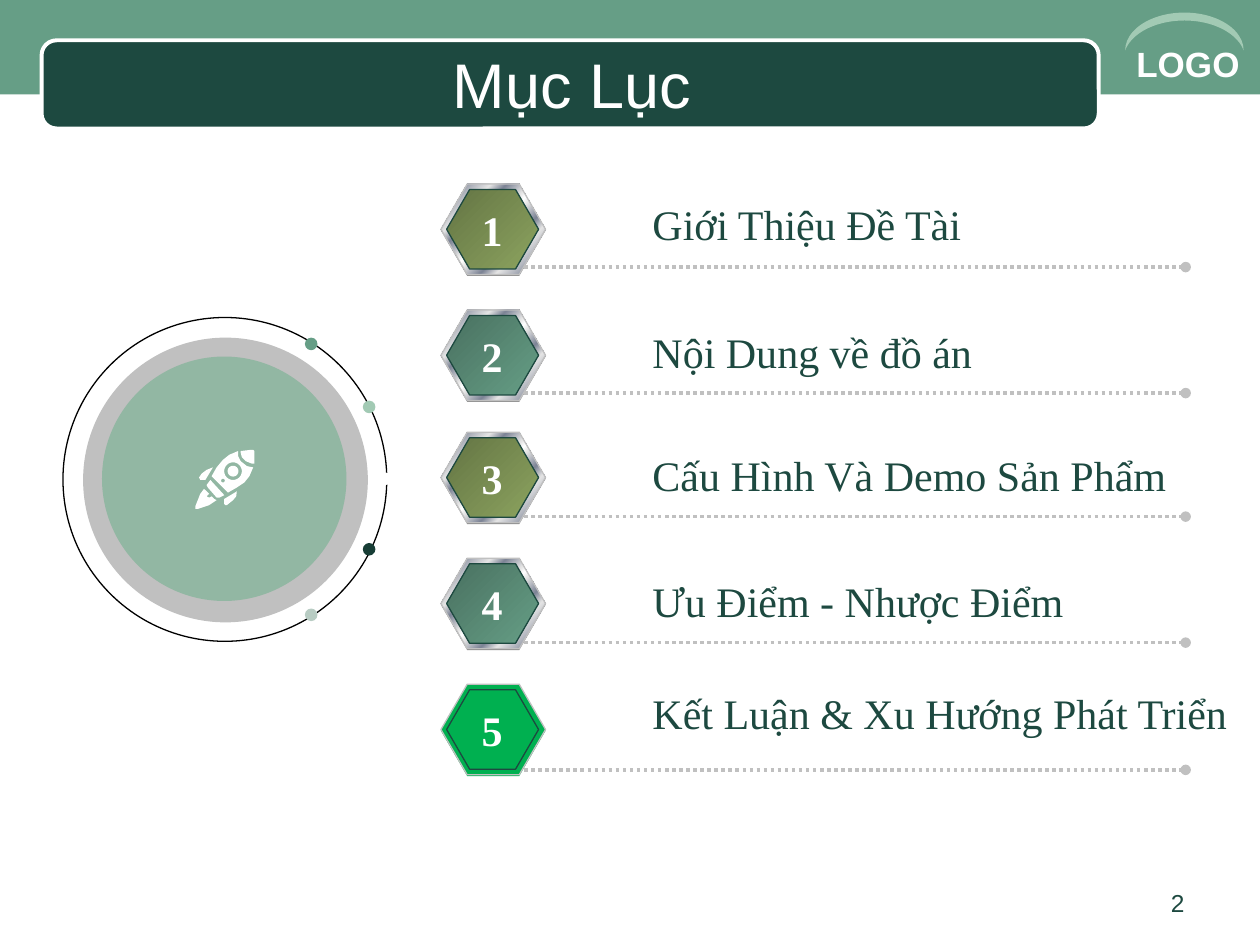
from math import cos, pi, sin

from lxml.etree import SubElement
from pptx import Presentation
from pptx.dml.color import RGBColor
from pptx.enum.dml import MSO_LINE
from pptx.enum.shapes import MSO_CONNECTOR, MSO_SHAPE
from pptx.enum.text import MSO_ANCHOR, MSO_AUTO_SIZE, PP_ALIGN
from pptx.oxml.ns import qn
from pptx.util import Inches, Pt

WHITE = RGBColor(0xFF, 0xFF, 0xFF)
BLACK = RGBColor(0x00, 0x00, 0x00)
SAGE = RGBColor(0x66, 0x9E, 0x86)
PALE_SAGE = RGBColor(0xA2, 0xCA, 0xB4)
DISC_SAGE = RGBColor(0x92, 0xB7, 0xA3)
MIST = RGBColor(0xB8, 0xCC, 0xC3)
PINE = RGBColor(0x1D, 0x49, 0x40)
DEEP_PINE = RGBColor(0x17, 0x3D, 0x35)
DARK_SAGE = RGBColor(0x49, 0x71, 0x60)
DARK_OLIVE = RGBColor(0x64, 0x75, 0x44)
OLIVE = RGBColor(0x8C, 0xA3, 0x5F)
GREEN = RGBColor(0x00, 0xB0, 0x50)
SILVER = RGBColor(0xC0, 0xC0, 0xC0)
GREY = RGBColor(0x80, 0x80, 0x80)
STEEL = RGBColor(0x7D, 0x84, 0x96)
CHROME = RGBColor(0xE6, 0xE6, 0xE6)

METAL = [(0, CHROME), (8, STEEL), (26, CHROME), (34, STEEL), (46, CHROME), (50, WHITE),
         (54, CHROME), (66, STEEL), (74, CHROME), (92, STEEL), (100, CHROME)]
OLIVE_FADE = [(0, DARK_OLIVE), (100, OLIVE)]
SAGE_FADE = [(0, DARK_SAGE), (100, SAGE)]

SERIF = "Times New Roman"
SANS = "Arial"
COLUMNS, ROWS = 100, 75

AGENDA = [
    ("1", "Giới Thiệu Đề Tài", OLIVE_FADE, 14.6, 15.3, 21.2, 26.7),
    ("2", "Nội Dung về đồ án", SAGE_FADE, 24.6, 25.4, 31.2, 27.6),
    ("3", "Cấu Hình Và Demo Sản Phẩm", OLIVE_FADE, 34.3, 35.2, 41, 43.2),
    ("4", "Ưu Điểm - Nhược Điểm", SAGE_FADE, 44.3, 45.2, 51, 35),
    ("5", "Kết Luận & Xu Hướng Phát Triển", GREEN, 54.3, 54.1, 61.1, 48.1),
]

ORBIT_DOTS = [(24.2, 26.8, SAGE), (28.8, 31.8, PALE_SAGE), (28.8, 43.1, DEEP_PINE),
              (30.1, 37.5, WHITE), (24.2, 48.3, MIST)]


def ring(x, y, radius, steps=32):
    return [(x + radius * cos(2 * pi * i / steps), y + radius * sin(2 * pi * i / steps))
            for i in range(steps)]


HULL = [(18.9, 35.8), (18.2, 36.1), (17.7, 36.5), (17.2, 37.1), (16.8, 37.8), (18.1, 39.1),
        (18.8, 38.7), (19.4, 38.3), (19.8, 37.8), (20.1, 37.1), (19.6, 37), (19.1, 36.6),
        (18.9, 36.2)]
NOSE = [(19.1, 35.8), (19.9, 35.7), (20.1, 35.7), (20.2, 35.8), (20.2, 36.8), (20, 36.8),
        (19.5, 36.6), (19.2, 36.3), (19.1, 35.9)]
TAIL = [(16.7, 38.1), (16.4, 38.5), (16.5, 38.7), (17.2, 39.5), (17.4, 39.5), (17.8, 39.3)]
LEFT_FIN = [(16.9, 37.1), (16.4, 37.3), (16, 37.6), (15.8, 37.9), (15.9, 38.1), (16.3, 38.1)]
RIGHT_FIN = [(18.8, 39), (17.8, 39.6), (17.8, 40), (17.9, 40.1), (18, 40.1), (18.5, 39.7),
             (18.75, 39.4)]
FLAME = [(16.2, 38.8), (15.9, 39.2), (15.5, 40.2), (15.5, 40.4), (15.7, 40.4), (16.6, 40.1),
         (17.2, 39.7), (17, 39.6), (16.8, 39.4), (16.6, 39.5), (16.4, 39.4), (16.6, 39.2),
         (16.3, 38.9)]
ROCKET = [[TAIL], [NOSE], [ring(18.5, 37.4, 0.43)],
          [HULL, ring(18.5, 37.4, 0.7), ring(17.7, 38.15, 0.15)],
          [RIGHT_FIN], [LEFT_FIN], [FLAME]]


class Deck:
    def __init__(self):
        self.show = Presentation()
        self.show.slide_width, self.show.slide_height = Inches(10), Inches(7.5)
        self.slide = self.show.slides.add_slide(self.show.slide_layouts[5])
        self.shapes = self.slide.shapes

    def x(self, columns):
        return round(columns * self.show.slide_width / COLUMNS)

    def y(self, rows):
        return round(rows * self.show.slide_height / ROWS)

    def frame(self, left, top, width, height):
        return self.x(left), self.y(top), self.x(width), self.y(height)

    def paint(self, shape, fill, line=None, weight=0.75):
        shape.shadow.inherit = False
        if fill is None:
            shape.fill.background()
        elif isinstance(fill, list):
            shape.fill.gradient()
            shape.fill.gradient_angle = 315
            stops = shape._element.spPr.find(f".//{qn('a:gsLst')}")
            stops.clear()
            for percent, color in fill:
                stop = SubElement(stops, qn("a:gs"), pos=str(percent * 1000))
                SubElement(stop, qn("a:srgbClr"), val=str(color))
        else:
            shape.fill.solid()
            shape.fill.fore_color.rgb = fill
        if line is None:
            shape.line.fill.background()
        else:
            shape.line.color.rgb = line
            shape.line.width = Pt(weight)

    def preset(self, kind, box, fill, line=None, weight=0.75, adjust=None, turn=0, home=None):
        shape = (home or self.slide).shapes.add_shape(kind, *self.frame(*box))
        if adjust is not None:
            shape.adjustments[0] = adjust
        shape.rotation = turn
        self.paint(shape, fill, line, weight)

    def wording(self, frame, words, color, align=PP_ALIGN.LEFT, **style):
        paragraph = frame.paragraphs[0]
        paragraph.alignment = align
        run = paragraph.add_run()
        run.text = words
        run.font.color.rgb = color
        for name, value in style.items():
            setattr(run.font, name, value)

    def text(self, words, box, color, wrap=False, **style):
        frame = self.shapes.add_textbox(*self.frame(*box)).text_frame
        frame.word_wrap = wrap
        frame.auto_size = MSO_AUTO_SIZE.NONE if wrap else MSO_AUTO_SIZE.SHAPE_TO_FIT_TEXT
        self.wording(frame, words, color, **style)

    def title(self, words, box, color, **style):
        title = self.shapes.title
        title.left, title.top, title.width, title.height = self.frame(*box)
        title.text_frame.vertical_anchor = MSO_ANCHOR.MIDDLE
        self.wording(title.text_frame, words, color, PP_ALIGN.CENTER, **style)
        title._element.getparent().append(title._element)

    def dotted_rule(self, left, right, row):
        rule = self.shapes.add_connector(MSO_CONNECTOR.STRAIGHT, self.x(left), self.y(row),
                                         self.x(right), self.y(row))
        rule.line.color.rgb = SILVER
        rule.line.width = Pt(2)
        rule.line.dash_style = MSO_LINE.ROUND_DOT
        SubElement(rule._element.spPr.find(qn("a:ln")), qn("a:tailEnd"), type="oval")
        SubElement(rule._element.spPr, qn("a:effectLst"))

    def badge(self, top, fill):
        metallic = isinstance(fill, list)
        group = self.shapes.add_group_shape()
        for box, color, line in [
            ((35, top + 0.1, 8.3, 7.2), GREY if metallic else fill, None),
            ((35, top, 8.3, 7.2), METAL if metallic else fill, SILVER),
            ((35.45, top + 0.45, 7.3, 6.3), fill, PINE),
        ]:
            self.preset(MSO_SHAPE.HEXAGON, box, color, line, adjust=0.29, home=group)

    def outlines(self, pieces, fill):
        group = self.shapes.add_group_shape()
        for contours in pieces:
            placed = [[(self.x(x), self.y(y)) for x, y in contour] for contour in contours]
            builder = group.shapes.build_freeform(*placed[0][0])
            builder.add_line_segments(placed[0][1:])
            for hole in placed[1:]:
                builder.move_to(*hole[0])
                builder.add_line_segments(hole[1:])
            self.paint(builder.convert_to_shape(), fill)


def main():
    deck = Deck()
    deck.preset(MSO_SHAPE.RECTANGLE, (0, 0, 100, 7.5), SAGE)
    deck.preset(MSO_SHAPE.ROUNDED_RECTANGLE, (3.3, 3.2, 83.9, 7), PINE, WHITE, 2.25, 0.17)
    deck.text("LOGO", (89.2, 2.9, 10.8, 4.3), WHITE, wrap=True,
              size=Pt(20), name=SANS, bold=True)
    deck.preset(MSO_SHAPE.MOON, (92.5, -2.2, 3, 9.4), PALE_SAGE, adjust=0.21, turn=90)
    deck.title("Mục Lục", (5, 3.5, 80.8, 6.2), WHITE, size=Pt(36), name=SANS)

    for number, topic, fill, top, topic_row, rule_row, width in AGENDA:
        deck.badge(top, fill)
        deck.dotted_rule(41.6, 94.1, rule_row)
        deck.text(topic, (50.8, topic_row, width, 5.1), PINE, size=Pt(24), name=SERIF)
        deck.text(number, (37.2, top + 1.1, 3.7, 5.1), WHITE, align=PP_ALIGN.CENTER,
                  size=Pt(24), name=SERIF, bold=True)

    deck.text("2", (71.7, 70, 23.3, 3.5), PINE, wrap=True, align=PP_ALIGN.RIGHT,
              size=Pt(14), name=SANS)

    deck.preset(MSO_SHAPE.OVAL, (5, 25.2, 25.7, 25.7), None, BLACK)
    deck.preset(MSO_SHAPE.OVAL, (6.6, 26.8, 22.6, 22.6), SILVER)
    deck.preset(MSO_SHAPE.OVAL, (8.1, 28.3, 19.4, 19.4), DISC_SAGE)
    for left, top, color in ORBIT_DOTS:
        deck.preset(MSO_SHAPE.OVAL, (left, top, 1, 1), color)
    deck.outlines(ROCKET, WHITE)

    deck.show.save("out.pptx")


if __name__ == "__main__":
    main()
